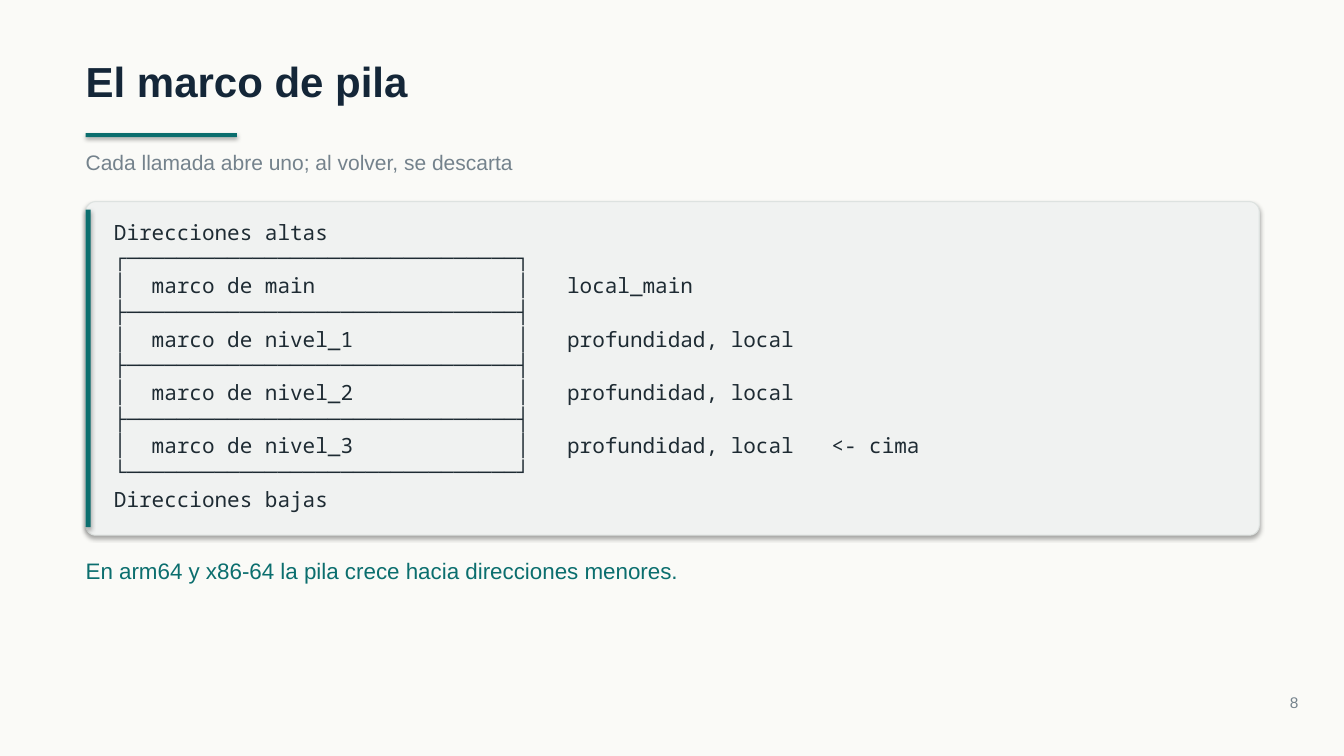
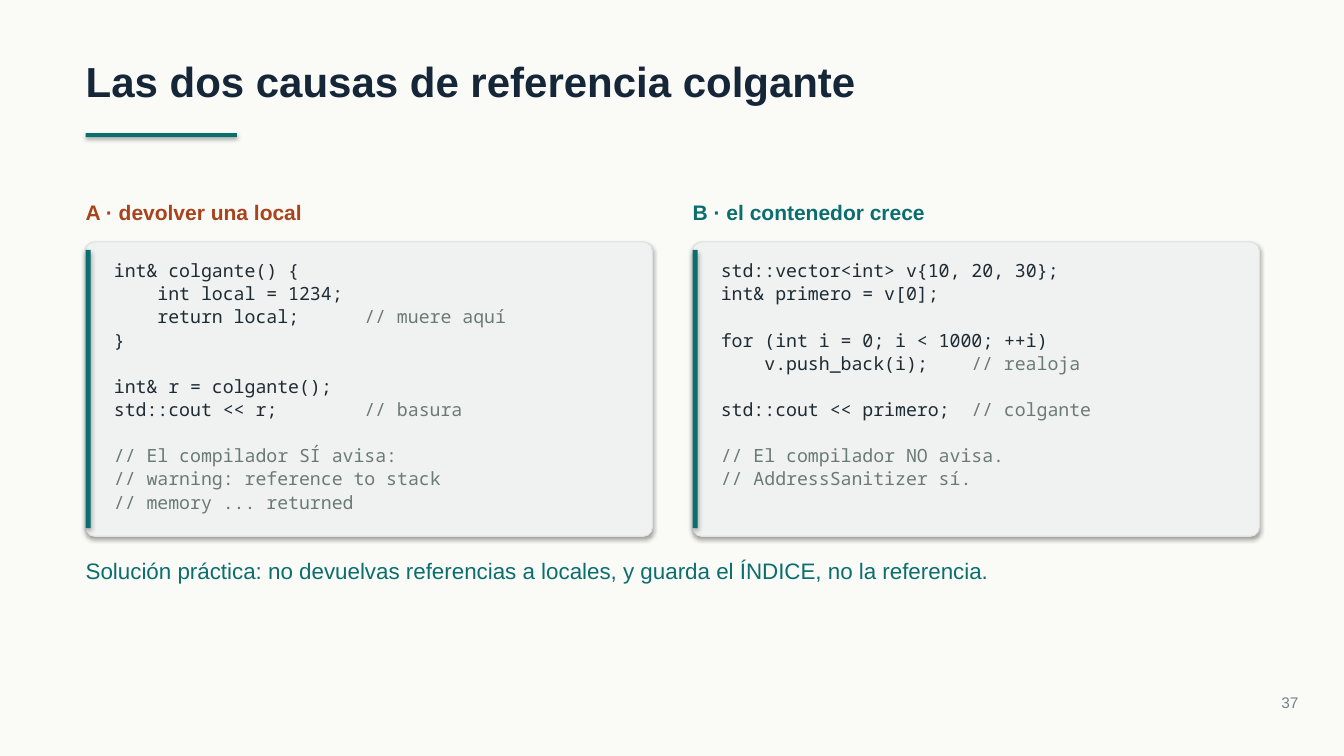
from pptx import Presentation
from pptx.dml.color import RGBColor
from pptx.enum.shapes import MSO_SHAPE
from pptx.enum.text import MSO_ANCHOR, MSO_AUTO_SIZE, PP_ALIGN
from pptx.util import Pt

RECT, ROUND = MSO_SHAPE.RECTANGLE, MSO_SHAPE.ROUNDED_RECTANGLE
TOP, FIXED = MSO_ANCHOR.TOP, MSO_AUTO_SIZE.NONE
LEFT, RIGHT = PP_ALIGN.LEFT, PP_ALIGN.RIGHT

SCALE = 9144
MARGIN, WIDTH, GAP = 85, 1164, 40
COLUMN = (WIDTH - GAP) // 2

COLORS = {
    "paper": "FAFAF7", "navy": "142638", "teal": "0B6E6E", "gray": "74828C",
    "rust": "A8431B", "panel": "F0F2F1", "edge": "DDE2E0",
    "ink": "1E2B33", "note": "6B7A74",
}
FONTS = {
    "title": {"size": Pt(30), "name": "Arial", "bold": True},
    "lead": {"size": Pt(15), "name": "Arial", "bold": False},
    "head": {"size": Pt(15), "name": "Arial", "bold": True},
    "close": {"size": Pt(16), "name": "Arial", "bold": False},
    "page": {"size": Pt(11), "name": "Arial", "bold": False},
}
FRAME = {
    "margin_left": 0, "margin_top": 0, "margin_right": 0, "margin_bottom": 0,
    "word_wrap": True, "auto_size": FIXED, "vertical_anchor": TOP,
}

STACK = """Direcciones altas
┌───────────────────────────────┐
│  marco de main                │   local_main
├───────────────────────────────┤
│  marco de nivel_1             │   profundidad, local
├───────────────────────────────┤
│  marco de nivel_2             │   profundidad, local
├───────────────────────────────┤
│  marco de nivel_3             │   profundidad, local   <- cima
└───────────────────────────────┘
Direcciones bajas"""

LOCAL = """int& colgante() {
    int local = 1234;
    return local;      // muere aquí
}

int& r = colgante();
std::cout << r;        // basura

// El compilador SÍ avisa:
// warning: reference to stack
// memory ... returned"""

VECTOR = """std::vector<int> v{10, 20, 30};
int& primero = v[0];

for (int i = 0; i < 1000; ++i)
    v.push_back(i);    // realoja

std::cout << primero;  // colgante

// El compilador NO avisa.
// AddressSanitizer sí."""


def px(*sizes):
    return [size * SCALE for size in sizes]


def color(name):
    return RGBColor.from_string(COLORS[name])


def style(target, values):
    for key, value in values.items():
        setattr(target, key, value)


class Deck:
    def __init__(self):
        self.show = Presentation()
        self.show.slide_width, self.show.slide_height = px(1333, 750)
        fill = self.show.slide_master.background.fill
        fill.solid()
        fill.fore_color.rgb = color("paper")
        self.slide = None

    def start(self, title, page):
        self.slide = self.show.slides.add_slide(self.show.slide_layouts[5])
        head = self.slide.shapes.title
        head.left, head.top, head.width, head.height = px(MARGIN, 55, WIDTH, 50)
        self.label(head, title, "title", "navy")
        self.block(RECT, (MARGIN, 132, 150, 4), "teal")
        self.text(page, (1198, 688, 90, 18), "page", "gray", RIGHT)

    def piece(self, para, text, font, tint):
        part = para.add_run()
        part.text = text
        style(part.font, font)
        part.font.color.rgb = color(tint)

    def label(self, shape, text, font, tint, align=LEFT):
        style(shape.text_frame, FRAME)
        para = shape.text_frame.paragraphs[0]
        para.alignment = align
        self.piece(para, text, FONTS[font], tint)

    def text(self, text, area, font, tint, align=LEFT):
        box = self.slide.shapes.add_textbox(*px(*area))
        self.label(box, text, font, tint, align)

    def block(self, kind, area, fill, edge=None):
        shape = self.slide.shapes.add_shape(kind, *px(*area))
        shape.fill.solid()
        shape.fill.fore_color.rgb = color(fill)
        if edge:
            shape.line.color.rgb = color(edge)
            shape.line.width = Pt(0.75)
        else:
            shape.line.fill.background()
        return shape

    def code(self, source, area, size):
        left, top, width, height = area
        panel = self.block(ROUND, area, "panel", "edge")
        panel.adjustments[0] = 0.03
        self.block(RECT, (left, top + 8, 5, height - 16), "teal")
        inner = (left + 28, top + 16, width - 45, height - 40)
        frame = self.slide.shapes.add_textbox(*px(*inner)).text_frame
        style(frame, FRAME)
        font = {"size": Pt(size), "name": "Noto Sans Mono"}
        para = frame.paragraphs[0]
        for group, lines in enumerate(source.split("\n\n")):
            for row, line in enumerate(lines.split("\n")):
                if group or row:
                    para = frame.add_paragraph()
                para.line_spacing = 1.06
                if group and not row:
                    para.space_before = Pt(size * 1.27)
                body, mark, note = line.partition("//")
                for text, tint in ((body, "ink"), (mark + note, "note")):
                    if text:
                        self.piece(para, text, font, tint)

    def close_line(self, text):
        self.text(text, (MARGIN, 553, WIDTH, 27), "close", "teal")


def main():
    deck = Deck()

    deck.start("El marco de pila", "8")
    deck.text("Cada llamada abre uno; al volver, se descarta",
              (MARGIN, 148, WIDTH, 25), "lead", "gray")
    deck.code(STACK, (MARGIN, 200, WIDTH, 331), 15)
    deck.close_line("En arm64 y x86-64 la pila crece hacia direcciones menores.")

    deck.start("Las dos causas de referencia colgante", "37")
    causes = (
        ("A · devolver una local", "rust", LOCAL),
        ("B · el contenedor crece", "teal", VECTOR),
    )
    for index, (head, tint, source) in enumerate(causes):
        left = MARGIN + index * (COLUMN + GAP)
        deck.text(head, (left, 198, COLUMN, 25), "head", tint)
        deck.code(source, (left, 240, COLUMN, 292), 13)
    deck.close_line("Solución práctica: no devuelvas referencias a locales, "
                    "y guarda el ÍNDICE, no la referencia.")

    deck.show.save("out.pptx")


if __name__ == "__main__":
    main()
